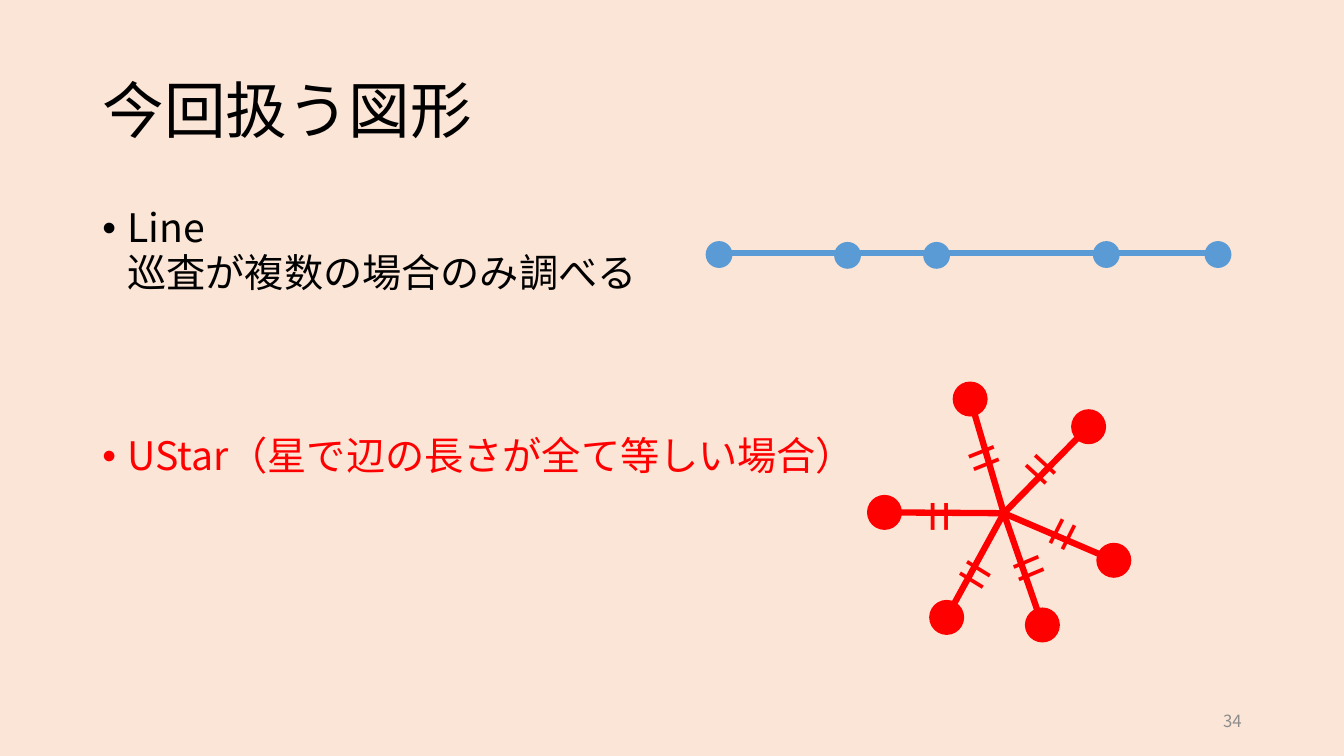
from dataclasses import dataclass

from lxml.etree import SubElement
from pptx import Presentation
from pptx.dml.color import RGBColor
from pptx.enum.shapes import MSO_CONNECTOR, MSO_SHAPE
from pptx.enum.text import MSO_ANCHOR, MSO_AUTO_SIZE, PP_ALIGN
from pptx.oxml.ns import qn
from pptx.util import Inches, Pt


@dataclass(frozen=True)
class Theme:
    font: str = "Noto Sans CJK JP"
    background: str = "FBE5D6"
    ink: str = "000000"
    accent: str = "FF0000"
    path_blue: str = "5B9BD5"
    muted: str = "8C8C8C"
    title_size: int = 44
    body_size: int = 28
    mark_size: int = 40
    number_size: int = 12
    edge_width: float = 4.5
    outline_width: float = 1


def color(code):
    return RGBColor.from_string(code)


def write(para, text, *, font, size, ink, align=PP_ALIGN.LEFT,
          spacing=1.0, before=0, bullet=None):
    """Fill one paragraph; a newline in the text is a line break."""
    para.alignment = align
    para.line_spacing = spacing
    para.space_before = Pt(before)
    for index, part in enumerate(text.split("\n")):
        if index:
            para.add_line_break()
        span = para.add_run()
        span.text = part
        span.font.name = font
        span.font.size = Pt(size)
        span.font.color.rgb = color(ink)
        SubElement(span.font._element, qn("a:ea"), typeface=font)
    if bullet:
        properties = para._p.get_or_add_pPr()
        properties.set("marL", str(Inches(0.25)))
        properties.set("indent", str(-Inches(0.25)))
        SubElement(properties, qn("a:buFont"), typeface="Arial")
        SubElement(properties, qn("a:buChar"), char=bullet)


class SlideBuilder:
    """Holds the theme and the page; lengths are cells of a 16 by 9 grid."""

    COLUMNS, ROWS = 16, 9

    def __init__(self, deck, theme):
        self.theme = theme
        self.column = deck.slide_width / self.COLUMNS
        self.row = deck.slide_height / self.ROWS
        self.page = deck.slides.add_slide(deck.slide_layouts[5])
        fill = self.page.background.fill
        fill.solid()
        fill.fore_color.rgb = color(theme.background)

    def across(self, columns):
        return round(columns * self.column)

    def down(self, rows):
        return round(rows * self.row)

    def area(self, left, top, width, height):
        return (self.across(left), self.down(top),
                self.across(width), self.down(height))

    def group(self):
        return self.page.shapes.add_group_shape()

    def title(self, text, area):
        box = self.page.shapes.title
        box.left, box.top, box.width, box.height = self.area(*area)
        frame = box.text_frame
        frame.auto_size = MSO_AUTO_SIZE.NONE
        frame.vertical_anchor = MSO_ANCHOR.MIDDLE
        write(frame.paragraphs[0], text, font=self.theme.font,
              size=self.theme.title_size, ink=self.theme.ink, spacing=0.9)

    def text(self, area, paragraphs, *, parent=None, anchor=MSO_ANCHOR.TOP,
             rotation=0):
        """Add a text box from (text, format) pairs."""
        shapes = (parent or self.page).shapes
        box = shapes.add_textbox(*self.area(*area))
        box.rotation = rotation
        frame = box.text_frame
        frame.word_wrap = True
        frame.vertical_anchor = anchor
        for index, (text, style) in enumerate(paragraphs):
            para = frame.add_paragraph() if index else frame.paragraphs[0]
            write(para, text, font=self.theme.font, **style)

    def edge(self, parent, start, end, ink):
        line = parent.shapes.add_connector(
            MSO_CONNECTOR.STRAIGHT,
            self.across(start[0]), self.down(start[1]),
            self.across(end[0]), self.down(end[1]))
        line.line.color.rgb = color(ink)
        line.line.width = Pt(self.theme.edge_width)
        SubElement(line._element.spPr, qn("a:effectLst"))

    def node(self, parent, center, diameter, ink, outlined=False):
        x, y = center
        dot = parent.shapes.add_shape(MSO_SHAPE.OVAL, *self.area(
            x - diameter / 2, y - diameter / 2, diameter, diameter))
        dot.shadow.inherit = False
        dot.fill.solid()
        dot.fill.fore_color.rgb = color(ink)
        if outlined:
            dot.line.color.rgb = color(ink)
            dot.line.width = Pt(self.theme.outline_width)
        else:
            dot.line.fill.background()

    def equal_mark(self, parent, center, rotation):
        width, height = 0.71, 0.92
        x, y = center
        style = dict(size=self.theme.mark_size, ink=self.theme.accent)
        self.text((x - width / 2, y - height / 2, width, height),
                  [("=", style)], parent=parent, rotation=rotation)


def main():
    deck = Presentation()
    deck.slide_width, deck.slide_height = Inches(13.33), Inches(7.5)
    theme = Theme()
    slide = SlideBuilder(deck, theme)

    # Title and bullets
    slide.title("今回扱う図形", (1.1, 0.48, 13.8, 1.74))
    bullet = dict(size=theme.body_size, spacing=0.95, bullet="•")
    slide.text((1.1, 2.4, 9.8, 5.71), [
        ("Line\n巡査が複数の場合のみ調べる", dict(bullet, ink=theme.ink)),
        ("UStar（星で辺の長さが全て等しい場合）",
         dict(bullet, ink=theme.accent, before=99)),
    ])

    # Line graph
    line_graph = slide.group()
    slide.edge(line_graph, (8.57, 3.01), (14.53, 3.01), theme.path_blue)
    for x, y in ((8.56, 3.03), (10.09, 3.04), (11.15, 3.04),
                 (13.17, 3.03), (14.5, 3.03)):
        slide.node(line_graph, (x, y), 0.32, theme.path_blue)

    # Page number
    slide.text((11.3, 8.34, 3.6, 0.48), [
        ("34", dict(size=theme.number_size, ink=theme.muted,
                    align=PP_ALIGN.RIGHT)),
    ], anchor=MSO_ANCHOR.MIDDLE)

    # Star graph: leaf centre, mark centre, mark rotation
    hub = (11.95, 6.11)
    arms = (
        ((11.55, 4.75), (11.76, 5.42), 338.2),
        ((12.96, 5.08), (12.44, 5.61), 42.5),
        ((13.26, 6.67), (12.65, 6.42), 116.8),
        ((12.41, 7.44), (12.21, 6.81), 157.3),
        ((11.27, 7.35), (11.56, 6.83), 211.6),
        ((10.53, 6.1), (11.17, 6.1), 270),
    )
    star_graph = slide.group()
    for leaf, mark, rotation in arms:
        slide.edge(star_graph, hub, leaf, theme.accent)
        slide.node(star_graph, leaf, 0.4, theme.accent, outlined=True)
        slide.equal_mark(star_graph, mark, rotation)

    deck.save("out.pptx")


if __name__ == "__main__":
    main()
